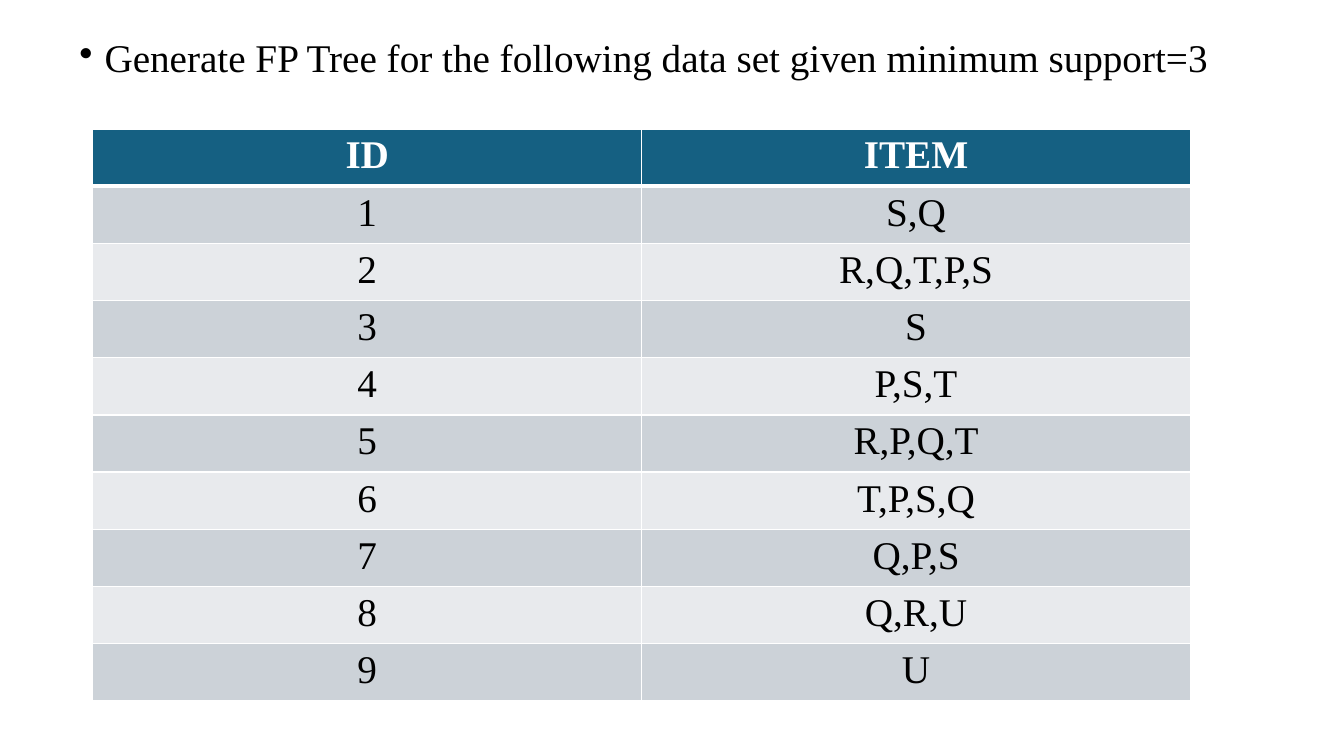
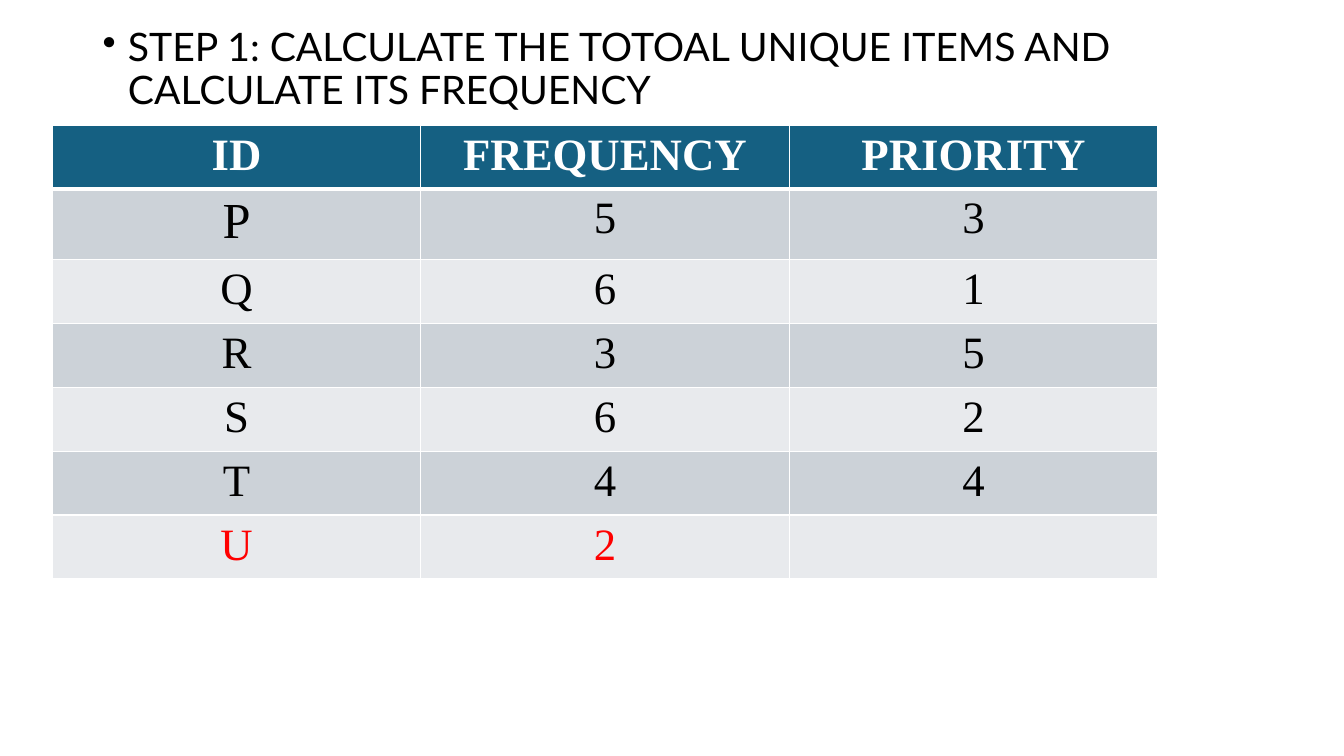
"""Build two slides that start an FP tree exercise: the data set and the item frequencies."""
from dataclasses import dataclass, field

import lxml.etree
import pptx
import pptx.dml.color
import pptx.enum.text
import pptx.oxml.ns
import pptx.util

Cm = pptx.util.Cm
Pt = pptx.util.Pt
RGBColor = pptx.dml.color.RGBColor
qn = pptx.oxml.ns.qn

BLACK = RGBColor(0x00, 0x00, 0x00)
WHITE = RGBColor(0xFF, 0xFF, 0xFF)
RED = RGBColor(0xFF, 0x00, 0x00)
HEADER = RGBColor(0x15, 0x60, 0x82)
BANDS = (RGBColor(0xCC, 0xD2, 0xD8), RGBColor(0xE8, 0xEA, 0xED))
SERIF = "Times New Roman"
SANS = "Lato"
INDENT = Cm(0.635)


@dataclass(frozen=True)
class Box:
    left: float
    top: float
    width: float
    height: float

    def emu(self) -> tuple:
        return Cm(self.left), Cm(self.top), Cm(self.width), Cm(self.height)


@dataclass(frozen=True)
class TableSlide:
    heading: str
    heading_font: str
    heading_box: Box
    table_box: Box
    size: int
    rows: tuple
    big_cells: dict = field(default_factory=dict)
    red_rows: tuple = ()


SLIDES = (
    TableSlide(
        "Generate FP Tree for the following data set given minimum support=3",
        SERIF, Box(1.75, 0.86, 29.79, 16.28), Box(2.34, 3.25, 27.66, 13.5), 28,
        (("ID", "ITEM"), ("1", "S,Q"), ("2", "R,Q,T,P,S"), ("3", "S"),
         ("4", "P,S,T"), ("5", "R,P,Q,T"), ("6", "T,P,S,Q"), ("7", "Q,P,S"),
         ("8", "Q,R,U"), ("9", "U")),
    ),
    TableSlide(
        "STEP 1: CALCULATE THE TOTOAL UNIQUE ITEMS AND CALCULATE ITS FREQUENCY",
        SANS, Box(2.34, 0.58, 29.21, 16.59), Box(1.32, 3.15, 27.86, 10.5), 32,
        (("ID", "FREQUENCY", "PRIORITY"), ("P", "5", "3"), ("Q", "6", "1"),
         ("R", "3", "5"), ("S", "6", "2"), ("T", "4", "4"), ("U", "2", "")),
        big_cells={(1, 0): 36}, red_rows=(6,),
    ),
)


def add_text(p, text: str, *, font: str = SERIF, size: int = 28,
             color: RGBColor = BLACK, bold: bool = False) -> None:
    r = p.add_run()
    r.text = text
    r.font.name = font
    r.font.size = Pt(size)
    r.font.color.rgb = color
    r.font.bold = bold


def add_heading(s, spec_slide: TableSlide) -> None:
    tf = s.shapes.add_textbox(*spec_slide.heading_box.emu()).text_frame
    tf.word_wrap = True
    p = tf.paragraphs[0]
    p.line_spacing = 0.9
    pPr = p._p.get_or_add_pPr()
    pPr.set("marL", str(INDENT))
    pPr.set("indent", str(-INDENT))
    lxml.etree.SubElement(pPr, qn("a:buChar")).set("char", "•")
    add_text(p, spec_slide.heading, font=spec_slide.heading_font)


def set_borders(cell, top: int, bottom: int) -> None:
    tcPr = cell._tc.get_or_add_tcPr()
    for i, (side, width) in enumerate(zip("LRTB", (1, 1, top, bottom))):
        ln = lxml.etree.Element(qn(f"a:ln{side}"), w=str(Pt(width)))
        fill = lxml.etree.SubElement(ln, qn("a:solidFill"))
        lxml.etree.SubElement(fill, qn("a:srgbClr"), val=str(WHITE))
        tcPr.insert(i, ln)


def add_table(s, spec_slide: TableSlide) -> None:
    rows = spec_slide.rows
    table = s.shapes.add_table(len(rows), len(rows[0]), *spec_slide.table_box.emu()).table
    for i, row in enumerate(rows):
        is_header = i == 0
        color = WHITE if is_header else RED if i in spec_slide.red_rows else BLACK
        for j, text in enumerate(row):
            cell = table.cell(i, j)
            cell.fill.solid()
            cell.fill.fore_color.rgb = HEADER if is_header else BANDS[(i - 1) % 2]
            set_borders(cell, top=3 if i == 1 else 1, bottom=3 if is_header else 1)
            if text:
                p = cell.text_frame.paragraphs[0]
                p.alignment = pptx.enum.text.PP_ALIGN.CENTER
                size = spec_slide.big_cells.get((i, j), spec_slide.size)
                add_text(p, text, size=size, color=color, bold=is_header)


def main() -> None:
    prs = pptx.Presentation()
    prs.slide_width, prs.slide_height = Cm(33.87), Cm(19.05)
    for spec_slide in SLIDES:
        s = prs.slides.add_slide(prs.slide_layouts[6])
        add_heading(s, spec_slide)
        add_table(s, spec_slide)
    prs.save("out.pptx")


if __name__ == "__main__":
    main()
